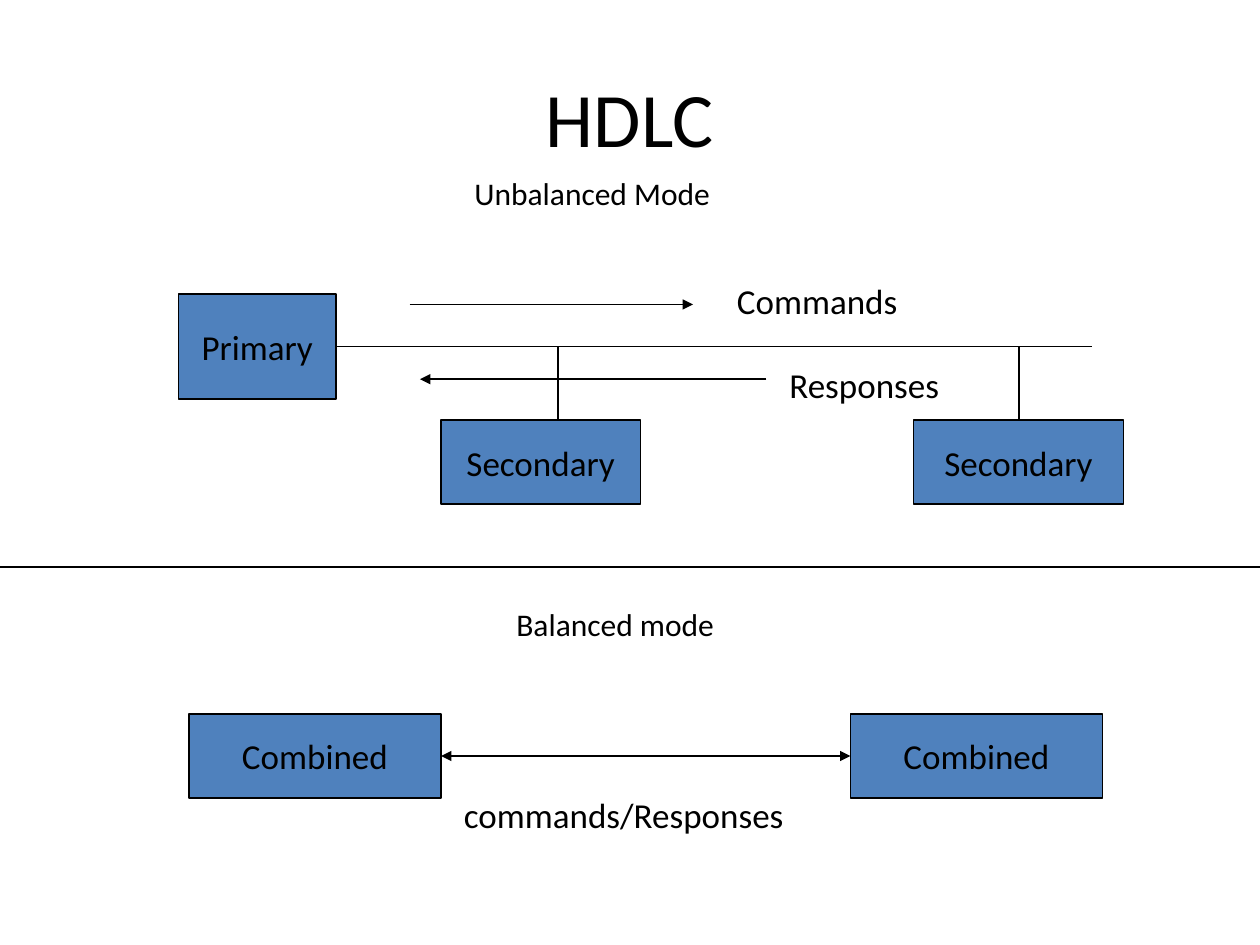
import pptx
import pptx.dml.color
import pptx.enum.shapes
import pptx.enum.text
import pptx.oxml.ns
import pptx.util
from lxml import etree

Pt = pptx.util.Pt
ALIGN = pptx.enum.text.PP_ALIGN
ANCHOR = pptx.enum.text.MSO_ANCHOR
FIT = pptx.enum.text.MSO_AUTO_SIZE
COLOURS = {"ink": "000000", "station": "4F81BD", "paper": "FFFFFF"}


class Diagram:
    """Draws stations, links and labels on one page in a shared style."""

    font = "Calibri"
    station_size = 20

    def __init__(self, page):
        self.page = page
        fill = page.background.fill
        fill.solid()
        fill.fore_color.rgb = self.colour("paper")

    def colour(self, name):
        return pptx.dml.color.RGBColor.from_string(COLOURS[name])

    def apply(self, target, values):
        for name, value in values.items():
            setattr(target, name, value)

    def add_text(self, box, text, size, frame_format, para_format):
        frame = box.text_frame
        self.apply(frame, frame_format)
        para = frame.paragraphs[0]
        self.apply(para, para_format)
        span = para.add_run()
        span.text = text
        self.apply(span.font, {"name": self.font, "size": Pt(size)})
        span.font.color.rgb = self.colour("ink")

    def title(self, text, left, top, width, height):
        box = self.page.shapes.add_textbox(Pt(left), Pt(top), Pt(width), Pt(height))
        self.add_text(box, text, 44,
                      {"word_wrap": True, "vertical_anchor": ANCHOR.MIDDLE},
                      {"alignment": ALIGN.CENTER})

    def label(self, text, left, top, width, size=20):
        height = size * 1.22 + 7.2
        box = self.page.shapes.add_textbox(Pt(left), Pt(top), Pt(width), Pt(height))
        self.add_text(box, text, size,
                      {"word_wrap": True, "auto_size": FIT.SHAPE_TO_FIT_TEXT},
                      {"alignment": ALIGN.LEFT, "space_before": Pt(size * 0.62)})

    def station(self, text, left, top, width, height=48):
        box = self.page.shapes.add_shape(
            pptx.enum.shapes.MSO_SHAPE.RECTANGLE, Pt(left), Pt(top), Pt(width), Pt(height))
        box.shadow.inherit = False
        box.fill.solid()
        box.fill.fore_color.rgb = self.colour("station")
        box.line.color.rgb = self.colour("ink")
        box.line.width = Pt(1)
        self.add_text(box, text, self.station_size,
                      {"word_wrap": False, "vertical_anchor": ANCHOR.MIDDLE},
                      {"alignment": ALIGN.CENTER})

    def link(self, start, end, arrows=(), weight=1):
        link = self.page.shapes.add_connector(
            pptx.enum.shapes.MSO_CONNECTOR.STRAIGHT, *map(Pt, start + end))
        link.line.color.rgb = self.colour("ink")
        link.line.width = Pt(weight)
        properties = link._element.spPr
        outline = properties.find(pptx.oxml.ns.qn("a:ln"))
        for arrow in arrows:
            etree.SubElement(outline, pptx.oxml.ns.qn(f"a:{arrow}"), type="triangle")
        etree.SubElement(properties, pptx.oxml.ns.qn("a:effectLst"))


def main():
    deck = pptx.Presentation()
    deck.slide_width, deck.slide_height = Pt(720), Pt(540)
    diagram = Diagram(deck.slides.add_slide(deck.slide_layouts[6]))
    diagram.title("HDLC", 36, 21.6, 648, 90)

    bus, secondary_top = 198, 240
    diagram.station("Primary", 102, 168, 90, 60)
    diagram.link((192, bus), (624, bus))
    for left, width, drop in ((252, 114, 319), (522, 120, 582.5)):
        diagram.station("Secondary", left, secondary_top, width)
        diagram.link((drop, bus), (drop, secondary_top))
    diagram.link((234, 174), (396, 174), ["tailEnd"])
    diagram.label("Commands", 414, 156, 138)
    diagram.link((438, 216.7), (240, 216.7), ["tailEnd"])
    diagram.label("Responses", 444, 204, 150)

    for left in (108, 486):
        diagram.station("Combined", left, 408, 144)
    diagram.link((252, 432), (486, 432), ["headEnd", "tailEnd"])
    diagram.label("commands/Responses", 258, 450, 222)

    diagram.label("Unbalanced Mode", 264, 96, 348, 18)
    diagram.label("Balanced mode", 288, 342, 186, 18)
    diagram.link((0, 324), (720, 324), weight=0.75)
    deck.save("out.pptx")


if __name__ == "__main__":
    main()
